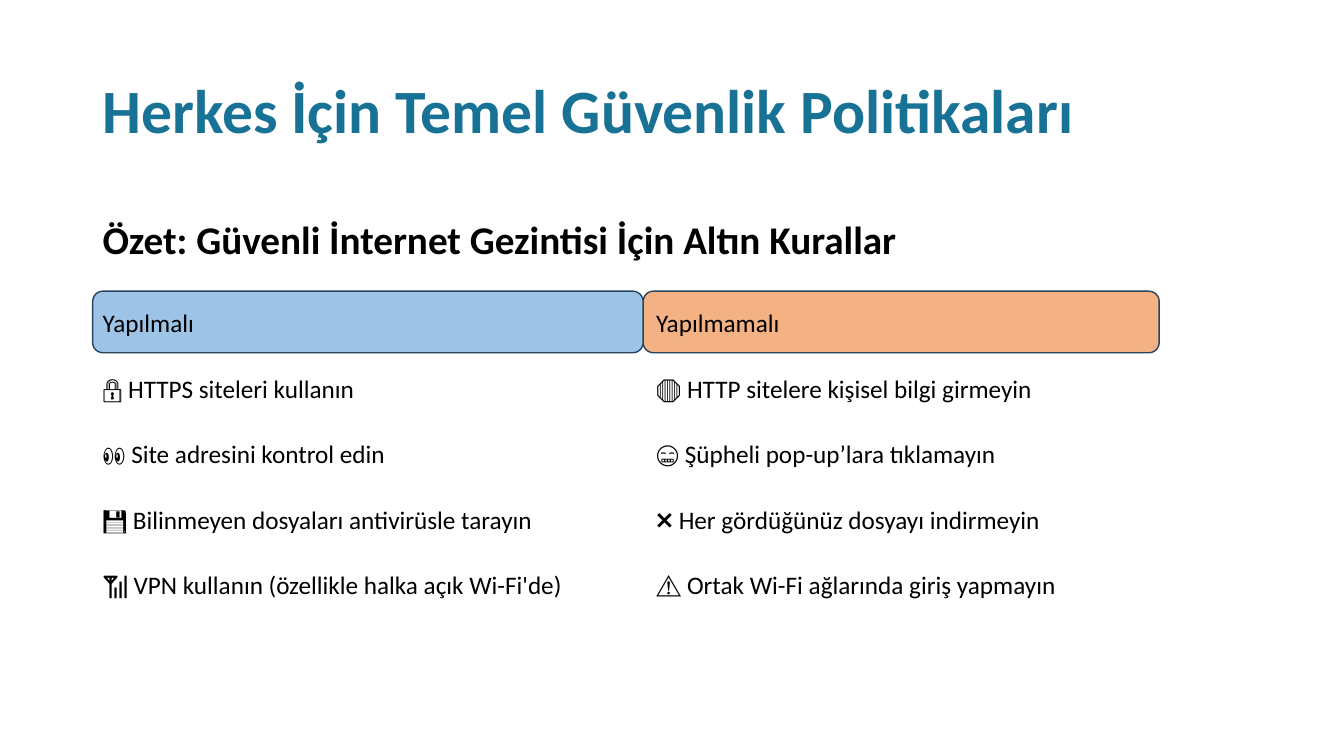
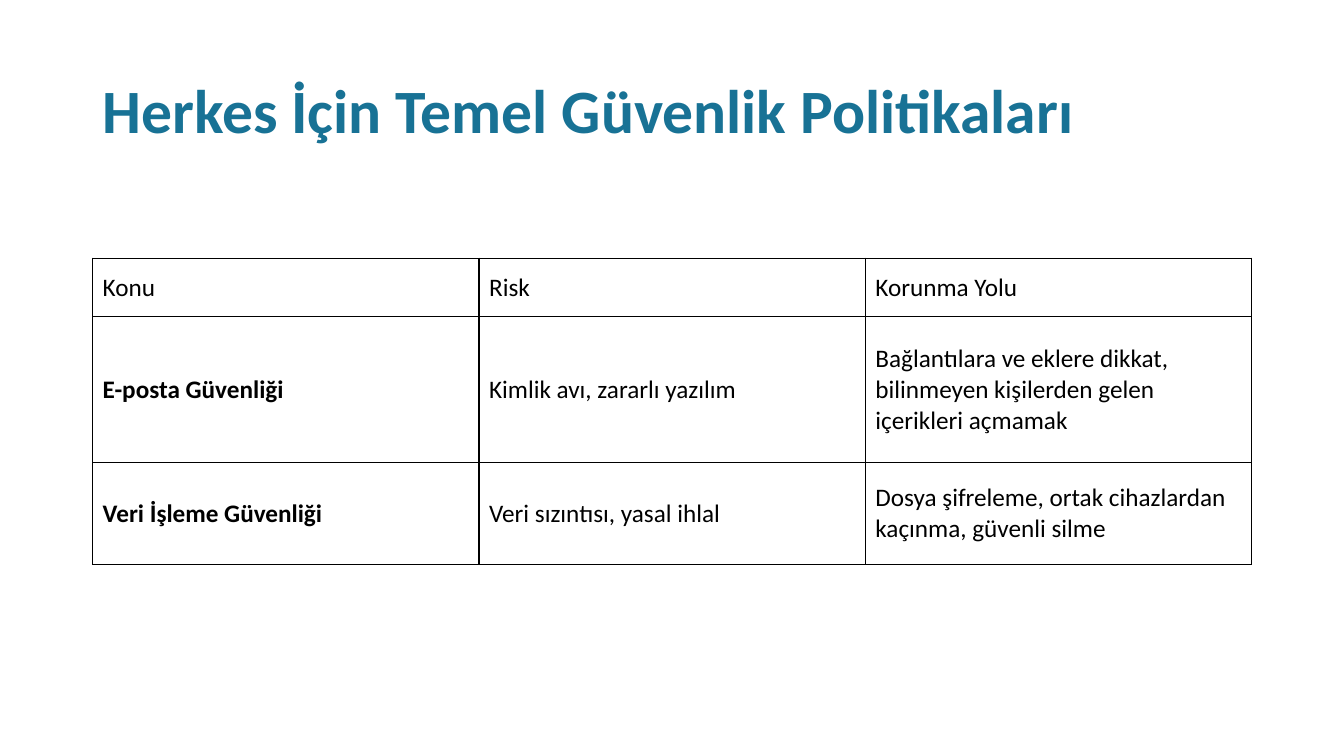
import pptx
import pptx.dml.color
import pptx.enum.shapes
import pptx.enum.text
import pptx.oxml
import pptx.oxml.ns
import pptx.util

Pt = pptx.util.Pt

COLORS = {
    "title": "187295",
    "text": "000000",
    "do": "9DC3E6",
    "dont": "F4B183",
    "outline": "28445D",
    "border": "000000",
}
FONT = "Calibri"
TITLE = "Herkes İçin Temel Güvenlik Politikaları"
PLAIN_TABLE_STYLE = "{2D5ABB26-0587-4C30-8999-92F81FD0307C}"
LEFT = 66.2
CONTENT_WIDTH = 828
RULES_TOP = 208
HEADER_SPLIT = 459.4
HEADER_RIGHT = 828

RULES = [
    ["Yapılmalı", "Yapılmamalı"],
    ["🔒 HTTPS siteleri kullanın", "🛑 HTTP sitelere kişisel bilgi girmeyin"],
    ["👀 Site adresini kontrol edin", "😬 Şüpheli pop-up’lara tıklamayın"],
    ["💾 Bilinmeyen dosyaları antivirüsle tarayın", "❌ Her gördüğünüz dosyayı indirmeyin"],
    ["📶 VPN kullanın (özellikle halka açık Wi-Fi'de)", "⚠️ Ortak Wi-Fi ağlarında giriş yapmayın"],
]
RISKS = [
    ["Konu", "Risk", "Korunma Yolu"],
    ["E-posta Güvenliği", "Kimlik avı, zararlı yazılım",
     "Bağlantılara ve eklere dikkat, bilinmeyen kişilerden gelen içerikleri açmamak"],
    ["Veri İşleme Güvenliği", "Veri sızıntısı, yasal ihlal",
     "Dosya şifreleme, ortak cihazlardan kaçınma, güvenli silme"],
]


def rgb(name):
    return pptx.dml.color.RGBColor.from_string(COLORS[name])


def style_paragraph(paragraph, size, color="text", bold=False):
    font = paragraph.font
    font.name = FONT
    font.size = Pt(size)
    font.bold = bold
    font.color.rgb = rgb(color)


def add_heading(slide, text, top, height, size, color):
    """Add a bold line of text, centred vertically in a full-width box."""
    shape = slide.shapes.add_textbox(Pt(LEFT), Pt(top), Pt(CONTENT_WIDTH), Pt(height))
    frame = shape.text_frame
    frame.word_wrap = True
    frame.vertical_anchor = pptx.enum.text.MSO_ANCHOR.MIDDLE
    paragraph = frame.paragraphs[0]
    paragraph.text = text
    paragraph.line_spacing = 0.9
    style_paragraph(paragraph, size, color, bold=True)


def add_titled_slide(presentation):
    slide = presentation.slides.add_slide(presentation.slide_layouts[6])
    add_heading(slide, TITLE, 28.8, 104.4, 44, "title")
    return slide


def add_header_band(slide, left, right, color):
    shape = slide.shapes.add_shape(
        pptx.enum.shapes.MSO_SHAPE.ROUNDED_RECTANGLE,
        Pt(left), Pt(RULES_TOP), Pt(right - left), Pt(44))
    shape.shadow.inherit = False
    shape.fill.solid()
    shape.fill.fore_color.rgb = rgb(color)
    shape.line.color.rgb = rgb("outline")
    shape.line.width = Pt(1)


def add_cell_borders(cell):
    properties = cell._tc.get_or_add_tcPr()
    for side in ("lnL", "lnR", "lnT", "lnB"):
        properties.append(pptx.oxml.parse_xml(
            f'<a:{side} {pptx.oxml.ns.nsdecls("a")} w="{Pt(1)}"><a:solidFill>'
            f'<a:srgbClr val="{COLORS["border"]}"/></a:solidFill></a:{side}>'))


def add_text_table(slide, rows, top, width, row_heights, bordered=False, bold_labels=False):
    """Add an unfilled table; bold_labels makes the first column bold below the header."""
    columns = len(rows[0])
    table = slide.shapes.add_table(
        len(rows), columns, Pt(LEFT), Pt(top), Pt(width), Pt(sum(row_heights))).table
    table.first_row = False
    table.horz_banding = False
    style = table._tbl.tblPr.find(pptx.oxml.ns.qn("a:tableStyleId"))
    style.text = PLAIN_TABLE_STYLE
    for column in table.columns:
        column.width = Pt(width / columns)
    for row_index, (texts, height) in enumerate(zip(rows, row_heights)):
        table.rows[row_index].height = Pt(height)
        for column_index, text in enumerate(texts):
            cell = table.cell(row_index, column_index)
            if bordered:
                add_cell_borders(cell)
            cell.fill.background()
            cell.vertical_anchor = pptx.enum.text.MSO_ANCHOR.MIDDLE
            cell.text = text
            is_label = bold_labels and row_index > 0 and column_index == 0
            style_paragraph(cell.text_frame.paragraphs[0], 18, bold=is_label)


def add_rules_slide(presentation):
    slide = add_titled_slide(presentation)
    add_heading(slide, "Özet: Güvenli İnternet Gezintisi İçin Altın Kurallar", 153, 40, 28, "text")
    add_header_band(slide, HEADER_SPLIT, HEADER_RIGHT, "dont")
    add_header_band(slide, LEFT, HEADER_SPLIT, "do")
    add_text_table(slide, RULES, RULES_TOP, 790.6, [46.8] * len(RULES))


def add_risks_slide(presentation):
    slide = add_titled_slide(presentation)
    add_text_table(slide, RISKS, 184.4, CONTENT_WIDTH, [41.8, 104.4, 72.7],
                   bordered=True, bold_labels=True)


def main():
    presentation = pptx.Presentation()
    presentation.slide_width = Pt(960)
    presentation.slide_height = Pt(540)
    add_rules_slide(presentation)
    add_risks_slide(presentation)
    presentation.save("out.pptx")


if __name__ == "__main__":
    main()
